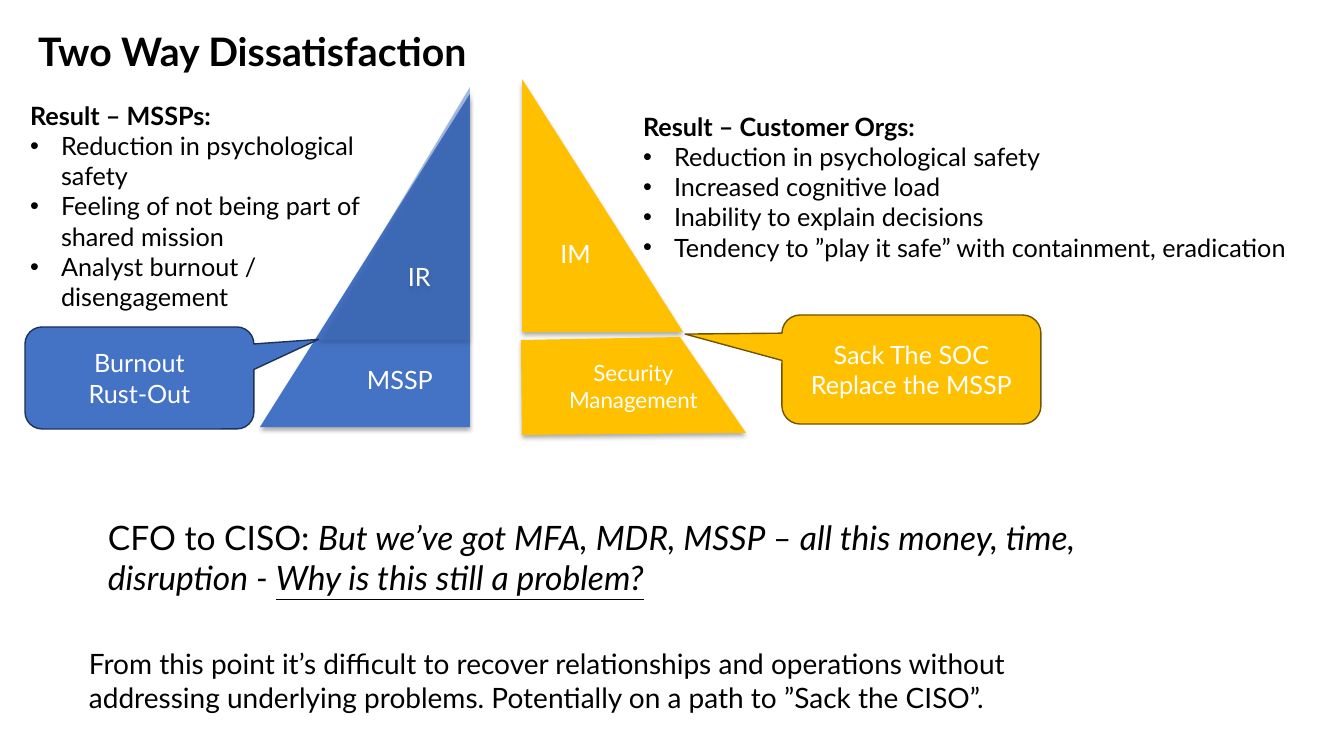
from dataclasses import dataclass

from lxml import etree
from pptx import Presentation, util as u
from pptx.dml import color
from pptx.enum import shapes, text
from pptx.oxml import ns


@dataclass(frozen=True)
class Theme:
    font: str = "Lato"
    ink: str = "000000"
    light: str = "FFFFFF"
    provider: str = "4472C4"
    provider_edge: str = "1E3256"
    customer: str = "FFC000"
    customer_edge: str = "705400"
    title: int = 28
    quote: int = 24
    closing: int = 20
    body: int = 18
    small: int = 16


THEME = Theme()
WIDTH, HEIGHT = 1344, 756
EMU_PER_PX = 12192000 / WIDTH
INDENT = 31


def px(length):
    return u.Emu(round(length * EMU_PER_PX))


def rgb(value):
    return color.RGBColor.from_string(value)


def child(parent, tag, **attributes):
    return etree.SubElement(parent, ns.qn(tag), attributes)


def write(shape, paragraphs, size=THEME.body, ink=THEME.light, bold=False,
          align=text.PP_ALIGN.CENTER, anchor=text.MSO_ANCHOR.MIDDLE, bullets_from=None):
    """Fill a shape; a paragraph is a string or a list of (text, style) runs."""
    frame = shape.text_frame
    frame.word_wrap = True
    frame.auto_size = text.MSO_AUTO_SIZE.NONE
    frame.vertical_anchor = anchor
    for index, runs in enumerate(paragraphs):
        paragraph = frame.add_paragraph() if index else frame.paragraphs[0]
        paragraph.alignment = align
        paragraph.space_before = u.Pt(0)
        if bullets_from is not None:
            properties = paragraph._p.get_or_add_pPr()
            bulleted = index >= bullets_from
            indent = px(INDENT) if bulleted else 0
            properties.set("marL", str(indent))
            properties.set("indent", str(-indent))
            if bulleted:
                child(properties, "a:buFont", typeface="Arial")
                child(properties, "a:buChar", char="•")
            else:
                child(properties, "a:buNone")
        for words, style in [(runs, {})] if isinstance(runs, str) else runs:
            run = paragraph.add_run()
            run.text = words
            run.font.name = THEME.font
            run.font.size = u.Pt(size)
            run.font.color.rgb = rgb(ink)
            run.font.bold = style.get("bold", bold)
            run.font.italic = style.get("italic", False)
            run.font.underline = style.get("underline", False)


def paint(shape, fill, edge=None, opacity=None, shadow=False):
    shape.fill.solid()
    shape.fill.fore_color.rgb = rgb(fill)
    if opacity:
        tint = shape.element.spPr.find(".//" + ns.qn("a:srgbClr"))
        child(tint, "a:alpha", val=str(opacity * 1000))
    if edge:
        shape.line.color.rgb = rgb(edge)
        shape.line.width = u.Pt(1)
    else:
        shape.line.fill.background()
    shape.shadow.inherit = False
    if shadow:
        effects = shape.element.spPr.find(ns.qn("a:effectLst"))
        outer = child(effects, "a:outerShdw", blurRad=str(u.Pt(3.5)), dist=str(u.Pt(2.2)),
                      dir="5400000", algn="ctr", rotWithShape="0")
        child(child(outer, "a:srgbClr", val="000000"), "a:alpha", val="32000")


def place(placeholder, box):
    placeholder.left, placeholder.top, placeholder.width, placeholder.height = map(px, box)


def add_triangle(slide, box, label, fill, flip=False, opacity=None, lift=0,
                 anchor=text.MSO_ANCHOR.MIDDLE):
    triangle = slide.shapes.add_shape(shapes.MSO_SHAPE.RIGHT_TRIANGLE, *map(px, box))
    if flip:
        triangle.element.spPr.get_or_add_xfrm().set("flipH", "1")
    paint(triangle, fill, opacity=opacity, shadow=True)
    write(triangle, [label], anchor=anchor)
    triangle.text_frame.margin_bottom = px(5 + lift)


def add_base(slide, corners, lines, fill):
    points = [(px(x), px(y)) for x, y in corners]
    builder = slide.shapes.build_freeform(*points[0], scale=1.0)
    builder.add_line_segments(points[1:], close=True)
    base = builder.convert_to_shape()
    paint(base, fill, shadow=True)
    write(base, lines, size=THEME.small)


def add_callout(slide, box, tip, lines, fill, edge):
    callout = slide.shapes.add_shape(
        shapes.MSO_SHAPE.ROUNDED_RECTANGULAR_CALLOUT, *map(px, box))
    for index, value in enumerate((*tip, 0.167)):
        callout.adjustments[index] = value
    paint(callout, fill, edge)
    write(callout, lines)


def add_statement(slide, box, runs, size):
    statement = slide.shapes.add_textbox(*map(px, box))
    write(statement, [runs], size=size, ink=THEME.ink, align=text.PP_ALIGN.LEFT,
          anchor=text.MSO_ANCHOR.TOP)


def fill_results(placeholder, box, heading, results):
    place(placeholder, box)
    write(placeholder, [[(heading, {"bold": True})], *results], ink=THEME.ink,
          align=text.PP_ALIGN.LEFT, anchor=text.MSO_ANCHOR.TOP, bullets_from=1)


def main():
    deck = Presentation()
    deck.slide_width, deck.slide_height = px(WIDTH), px(HEIGHT)
    slide = deck.slides.add_slide(deck.slide_layouts[3])
    title, provider_results, customer_results = slide.placeholders

    # Title and the two result lists
    place(title, (28, 22, 1283, 79))
    write(title, ["Two Way Dissatisfaction"], size=THEME.title, ink=THEME.ink, bold=True,
          align=text.PP_ALIGN.LEFT, anchor=text.MSO_ANCHOR.TOP)
    fill_results(provider_results, (20, 95, 384, 285), "Result – MSSPs:", [
        "Reduction in psychological safety",
        "Feeling of not being part of shared mission",
        "Analyst burnout / disengagement",
    ])
    fill_results(customer_results, (633, 106, 685, 194), "Result – Customer Orgs:", [
        "Reduction in psychological safety",
        "Increased cognitive load",
        "Inability to explain decisions",
        "Tendency to ”play it safe” with containment, eradication",
    ])

    # Customer half of the pyramid
    add_triangle(slide, (522, 79, 161, 253), "IM", THEME.customer, lift=30)
    add_base(slide, [(522, 435), (521, 340), (680, 337), (746, 433)],
             ["Security", "Management"], THEME.customer)

    # Provider half of the pyramid
    add_triangle(slide, (260, 94, 210, 333), "MSSP", THEME.provider, flip=True,
                 anchor=text.MSO_ANCHOR.BOTTOM)
    add_triangle(slide, (318, 87, 152, 253), "IR", THEME.provider, flip=True, opacity=45)

    # Consequences on each side
    add_callout(slide, (782, 315, 259, 109), (-0.874, -0.325),
                ["Sack The SOC", "Replace the MSSP"], THEME.customer, THEME.customer_edge)
    add_callout(slide, (25, 327, 229, 102), (0.782, -0.378),
                ["Burnout", "Rust-Out"], THEME.provider, THEME.provider_edge)

    # Executive question and closing remark
    add_statement(slide, (98, 512, 1114, 92), [
        ("CFO to CISO: ", {}),
        ("But we’ve got MFA, MDR, MSSP – all this money, time, disruption - ",
         {"italic": True}),
        ("Why is this still a problem?", {"italic": True, "underline": True}),
    ], THEME.quote)
    add_statement(slide, (79, 642, 1042, 99),
                  "From this point it’s difficult to recover relationships and operations "
                  "without addressing underlying problems. Potentially on a path to "
                  "”Sack the CISO”.", THEME.closing)

    deck.save("out.pptx")


if __name__ == "__main__":
    main()
